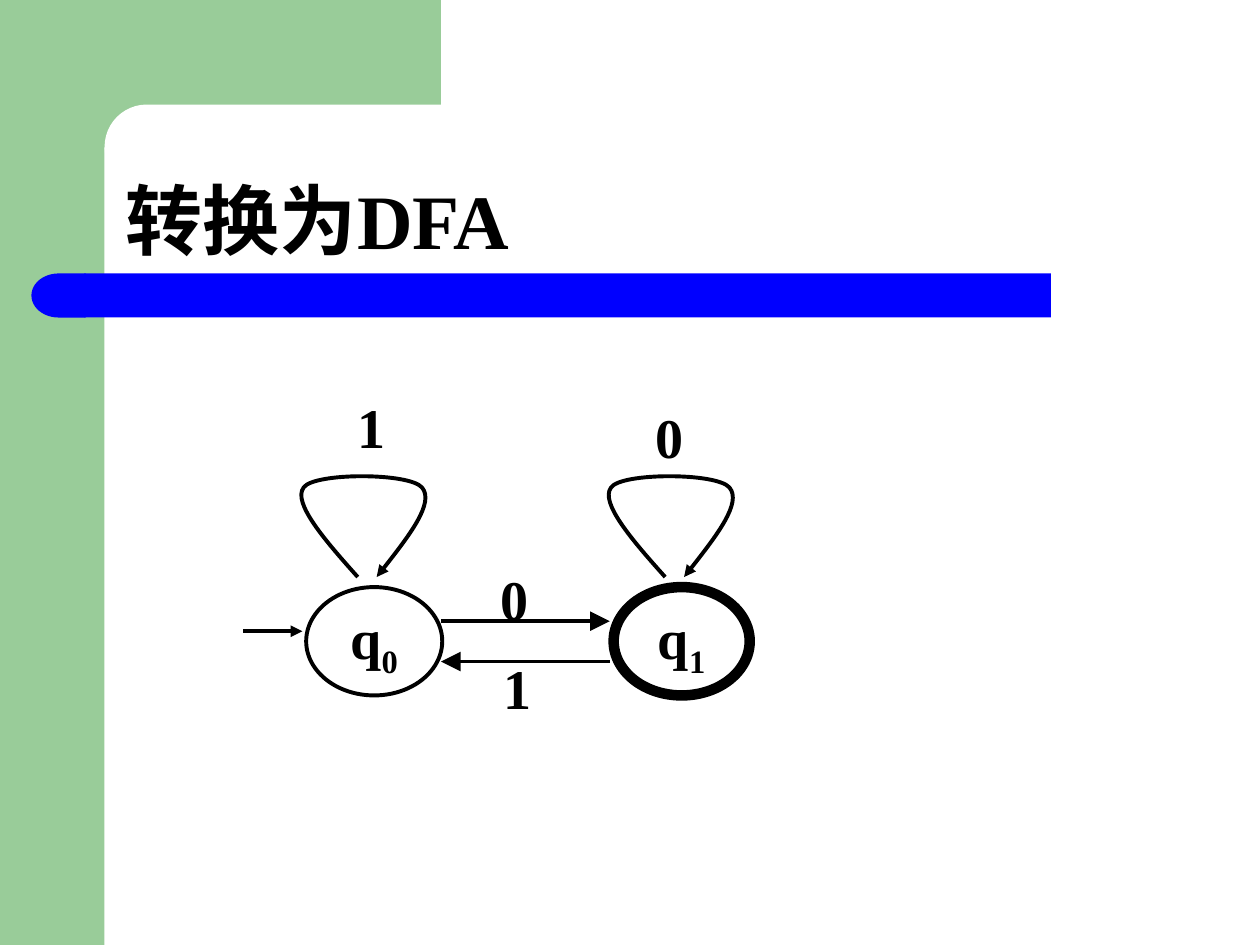
from lxml import etree
from pptx import Presentation
from pptx.dml.color import RGBColor
from pptx.enum import shapes, text
from pptx.oxml.ns import qn
from pptx.util import Inches, Pt

GREEN, BLUE, WHITE, BLACK = "99CC99", "0000FF", "FFFFFF", "000000"
FONT = "Times New Roman"
SHAPE = shapes.MSO_SHAPE


def color(value):
    return RGBColor.from_string(value)


def box(x, y, w, h):
    return [Inches(v) for v in (x, y, w, h)]


def add_block(s, kind, x, y, w, h, fill, adj=None):
    sp = s.shapes.add_shape(kind, *box(x, y, w, h))
    sp.shadow.inherit = False
    sp.fill.solid()
    sp.fill.fore_color.rgb = color(fill)
    sp.line.fill.background()
    if adj is not None:
        sp.adjustments[0] = adj
    return sp


def write(p, words, size=32, baseline=None):
    r = p.add_run()
    r.text = words
    for name, value in dict(name=FONT, size=Pt(size), bold=True).items():
        setattr(r.font, name, value)
    r.font.color.rgb = color(BLACK)
    if baseline:
        r.font._element.set("baseline", str(baseline))


def set_line(sp, width=2.25):
    sp.line.color.rgb = color(BLACK)
    sp.line.width = Pt(width)


def add_arrowhead(sp, size="med"):
    etree.SubElement(sp.line._get_or_add_ln(), qn("a:tailEnd"),
                     type="triangle", w=size, len=size)


def add_frame(s, x, y, w, h):
    add_block(s, SHAPE.RECTANGLE, x, y, 0.83, h, GREEN)
    add_block(s, SHAPE.RECTANGLE, x + 0.75, y, 2.75, 1.17, GREEN)
    add_block(s, SHAPE.ROUNDED_RECTANGLE, x + 0.83, y + 0.83, 5.58, 0.67, WHITE, 0.5)


def add_title_bar(s, x, y, w, h):
    add_block(s, SHAPE.RECTANGLE, x + 0.42, y, w - 0.42, h, BLUE)
    cap = add_block(s, SHAPE.FLOWCHART_DELAY, x, y, 0.43, h, BLUE)
    cap._element.spPr.xfrm.set("flipH", "1")


def add_title(s, x, y, w, h, words):
    tf = s.shapes.add_textbox(*box(x, y, w, h)).text_frame
    tf.word_wrap = True
    tf.vertical_anchor = text.MSO_ANCHOR.BOTTOM
    p = tf.paragraphs[0]
    p.line_spacing = 0.9
    write(p, words, 44)


def add_label(s, x, y, w, h, words):
    tf = s.shapes.add_textbox(*box(x, y, w, h)).text_frame
    for side in ("left", "right", "top", "bottom"):
        setattr(tf, f"margin_{side}", 0)
    tf.word_wrap = True
    tf.vertical_anchor = text.MSO_ANCHOR.MIDDLE
    p = tf.paragraphs[0]
    p.alignment = text.PP_ALIGN.CENTER
    write(p, words)


def add_state(s, x, y, w, h, index, width):
    sp = s.shapes.add_shape(SHAPE.OVAL, *box(x, y, w, h))
    sp.shadow.inherit = False
    sp.fill.background()
    set_line(sp, width)
    tf = sp.text_frame
    tf.word_wrap = False
    tf.vertical_anchor = text.MSO_ANCHOR.MIDDLE
    p = tf.paragraphs[0]
    p.alignment = text.PP_ALIGN.CENTER
    write(p, "q")
    write(p, index, baseline=-25000)


def add_loop(s, x, y):
    """Draw a self-loop that starts at (x, y): three cubic curves."""
    points = [(-0.26, -0.29), (-0.52, -0.59), (-0.43, -0.71),
              (-0.35, -0.83), (0.41, -0.83), (0.51, -0.71),
              (0.61, -0.59), (0.38, -0.29), (0.15, 0)]
    fb = s.shapes.build_freeform(Inches(x), Inches(y))
    fb.add_line_segments([(Inches(x + dx), Inches(y + dy)) for dx, dy in points],
                         close=False)
    sp = fb.convert_to_shape()
    sp.shadow.inherit = False
    sp.fill.background()
    set_line(sp)
    add_arrowhead(sp)
    # Each three line segments become the control points of one curve
    path = next(sp._element.iter(qn("a:path")))
    segments = path.findall(qn("a:lnTo"))
    for i in range(0, len(segments), 3):
        curve = etree.SubElement(path, qn("a:cubicBezTo"))
        for segment in segments[i:i + 3]:
            curve.append(segment[0])
            path.remove(segment)


def add_arrow(s, x1, x2, y, head="med"):
    cn = s.shapes.add_connector(shapes.MSO_CONNECTOR.STRAIGHT, Inches(x1),
                                Inches(y), Inches(x2), Inches(y))
    set_line(cn)
    add_arrowhead(cn, head)
    etree.SubElement(cn._element.spPr, qn("a:effectLst"))


def add_automaton(s, x, y):
    """Draw the two-state DFA from the left end of its start arrow and the top of its loops."""
    states = [("0", 0.5, 2.25, "1", 0.47, -0.63),
              ("1", 2.94, 6, "0", 2.83, -0.55)]
    for index, dx, width, symbol, label_x, label_y in states:
        add_state(s, x + dx, y + 0.91, 1.08, 0.86, index, width)
        add_loop(s, x + dx + 0.41, y + 0.83)
        add_label(s, x + label_x, y + label_y, 1.1, 0.53, symbol)
    add_arrow(s, x, x + 0.47, y + 1.26)
    add_arrow(s, x + 1.57, x + 2.91, y + 1.18, "lg")
    add_arrow(s, x + 2.91, x + 1.57, y + 1.5, "lg")
    add_label(s, x + 2.03, y + 0.73, 0.25, 0.53, "0")
    add_label(s, x + 2.05, y + 1.44, 0.25, 0.53, "1")


def main():
    prs = Presentation()
    prs.slide_width, prs.slide_height = Inches(10), Inches(7.5)
    s = prs.slides.add_slide(prs.slide_layouts[6])
    add_frame(s, 0, 0, 10, 7.5)
    add_title_bar(s, 0.25, 2.17, 8.09, 0.35)
    add_title(s, 0.9, 0.91, 8.75, 1.25, "转换为DFA")
    add_automaton(s, 1.93, 3.75)
    prs.save("out.pptx")


if __name__ == "__main__":
    main()
